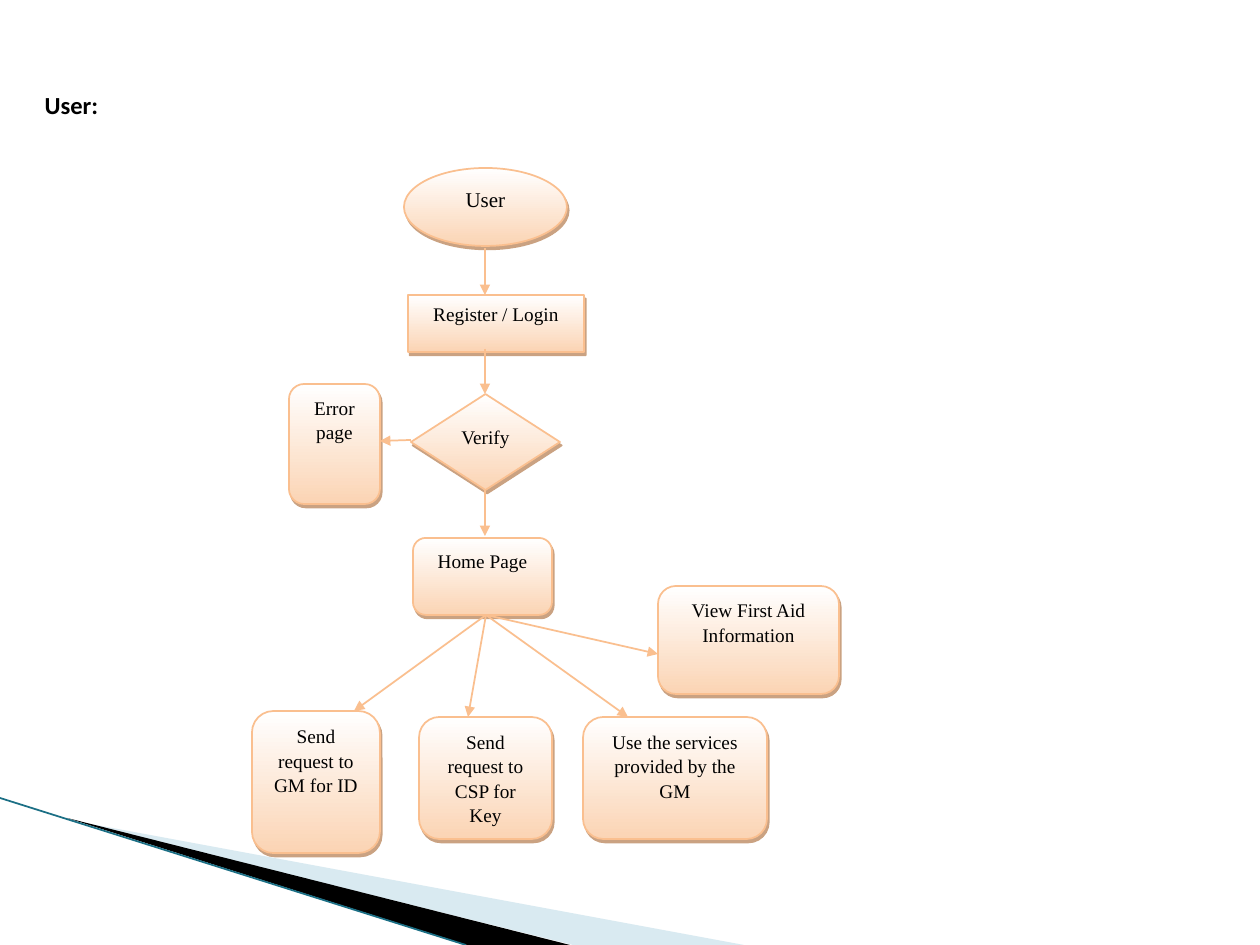
from lxml import etree
from pptx import Presentation
from pptx.dml.color import RGBColor
from pptx.enum.shapes import MSO_CONNECTOR, MSO_SHAPE
from pptx.enum.text import MSO_ANCHOR, MSO_AUTO_SIZE, PP_ALIGN
from pptx.oxml.ns import qn
from pptx.util import Pt

OVAL, RECT = MSO_SHAPE.OVAL, MSO_SHAPE.RECTANGLE
DIAMOND, ROUND = MSO_SHAPE.DIAMOND, MSO_SHAPE.ROUNDED_RECTANGLE
STRAIGHT = MSO_CONNECTOR.STRAIGHT
LEFT, CENTER = PP_ALIGN.LEFT, PP_ALIGN.CENTER
TOP, MIDDLE = MSO_ANCHOR.TOP, MSO_ANCHOR.MIDDLE
FIXED = MSO_AUTO_SIZE.NONE

COLORS = {
    "text": "000000", "edge": "FABF8F", "light": "FFFFFF", "peach": "FBD4B4",
    "shade": "974706", "pale": "A0CBDC", "black": "000000", "teal": "1B6F85",
}
SCALE = 914400 / 126


def px(*values):
    return [round(v * SCALE) for v in values]


def rgb(name):
    return RGBColor.from_string(COLORS[name])


def add(parent, tag, **attrs):
    return etree.SubElement(parent, qn(tag), **attrs)


def write(frame, text, font="Times New Roman", size=11, bold=False,
          align=CENTER, anchor=TOP, after=10, lead=1.05):
    frame.word_wrap = True
    frame.auto_size = FIXED
    frame.vertical_anchor = anchor
    para = frame.paragraphs[0]
    para.alignment = align
    para.space_before, para.space_after = Pt(0), Pt(after)
    para.line_spacing = lead
    run = para.add_run()
    run.text = text
    run.font.name, run.font.size, run.font.bold = font, Pt(size), bold
    run.font.color.rgb = rgb("text")


class Chart:
    def __init__(self, slide):
        self.slide = slide
        self.shapes = slide.shapes

    def title(self, text, box):
        head = self.shapes.title
        head.left, head.top, head.width, head.height = px(*box)
        write(head.text_frame, text, font="Calibri", size=14, bold=True,
              align=LEFT, anchor=MIDDLE, after=0, lead=1)

    def wedge(self, points, color, alpha=100):
        start, *rest = points
        form = self.shapes.build_freeform(*start, scale=SCALE)
        form.add_line_segments(rest, close=True)
        shape = form.convert_to_shape()
        shape.shadow.inherit = False
        shape.line.fill.background()
        shape.fill.solid()
        shape.fill.fore_color.rgb = rgb(color)
        if alpha < 100:
            tone = shape.fill._xPr.find(".//" + qn("a:srgbClr"))
            add(tone, "a:alpha", val=str(alpha * 1000))

    def node(self, kind, box, text, size=11):
        shape = self.shapes.add_shape(kind, *px(*box))
        shape.fill.gradient()
        shape.fill.gradient_angle = 270
        for stop, color in zip(shape.fill.gradient_stops, ("light", "peach")):
            stop.color.rgb = rgb(color)
        shape.line.color.rgb = rgb("edge")
        shape.line.width = Pt(1)
        self.shade(shape)
        write(shape.text_frame, text, size=size)

    def shade(self, shape):
        shape.shadow.inherit = False
        effects = shape._element.spPr.find(qn("a:effectLst"))
        outer = add(effects, "a:outerShdw", dist=str(Pt(2.2)),
                    dir=str(63 * 60000), algn="ctr", rotWithShape="0")
        tone = add(outer, "a:srgbClr", val=COLORS["shade"])
        add(tone, "a:alpha", val="50000")

    def line(self, start, end, color="edge", arrow=True):
        link = self.shapes.add_connector(STRAIGHT, *px(*start, *end))
        link.line.color.rgb = rgb(color)
        link.line.width = Pt(1)
        if arrow:
            add(link.line._get_or_add_ln(), "a:tailEnd", type="triangle")
        add(link._element.spPr, "a:effectLst")


deck = Presentation()
deck.slide_width, deck.slide_height = px(1260, 945)
chart = Chart(deck.slides.add_slide(deck.slide_layouts[5]))

# Corner decoration
chart.wedge([(69, 820), (744, 945), (573, 945)], "pale", alpha=40)
chart.wedge([(67, 818), (570, 945), (467, 945)], "black")
chart.line((0, 798), (466, 945), color="teal", arrow=False)

# Heading
chart.title("User:", (32, 73, 1228, 63))

# Flow steps
chart.node(OVAL, (404, 168, 163, 78), "User", size=12)
for kind, box, text in [
    (RECT, (408, 295, 176, 57), "Register / Login"),
    (DIAMOND, (411, 394, 149, 96), "Verify"),
    (ROUND, (289, 384, 91, 120), "Error page"),
    (ROUND, (413, 538, 139, 77), "Home Page"),
    (ROUND, (419, 717, 133, 122), "Send request to CSP for Key"),
    (ROUND, (252, 711, 128, 142), "Send request to GM for ID"),
    (ROUND, (583, 717, 184, 122), "Use the services provided by the GM"),
    (ROUND, (658, 586, 181, 108), "View First Aid Information"),
]:
    chart.node(kind, box, text)

# Arrows down the main path
for top, bottom in [(248, 295), (349, 394), (490, 536)]:
    chart.line((485, top), (485, bottom))

# Arrow to the error page
chart.line((411, 440), (380, 441))

# Arrows from the home page
for end in [(354, 711), (468, 717), (628, 717), (658, 654)]:
    chart.line((486, 615), end)

deck.save("out.pptx")
